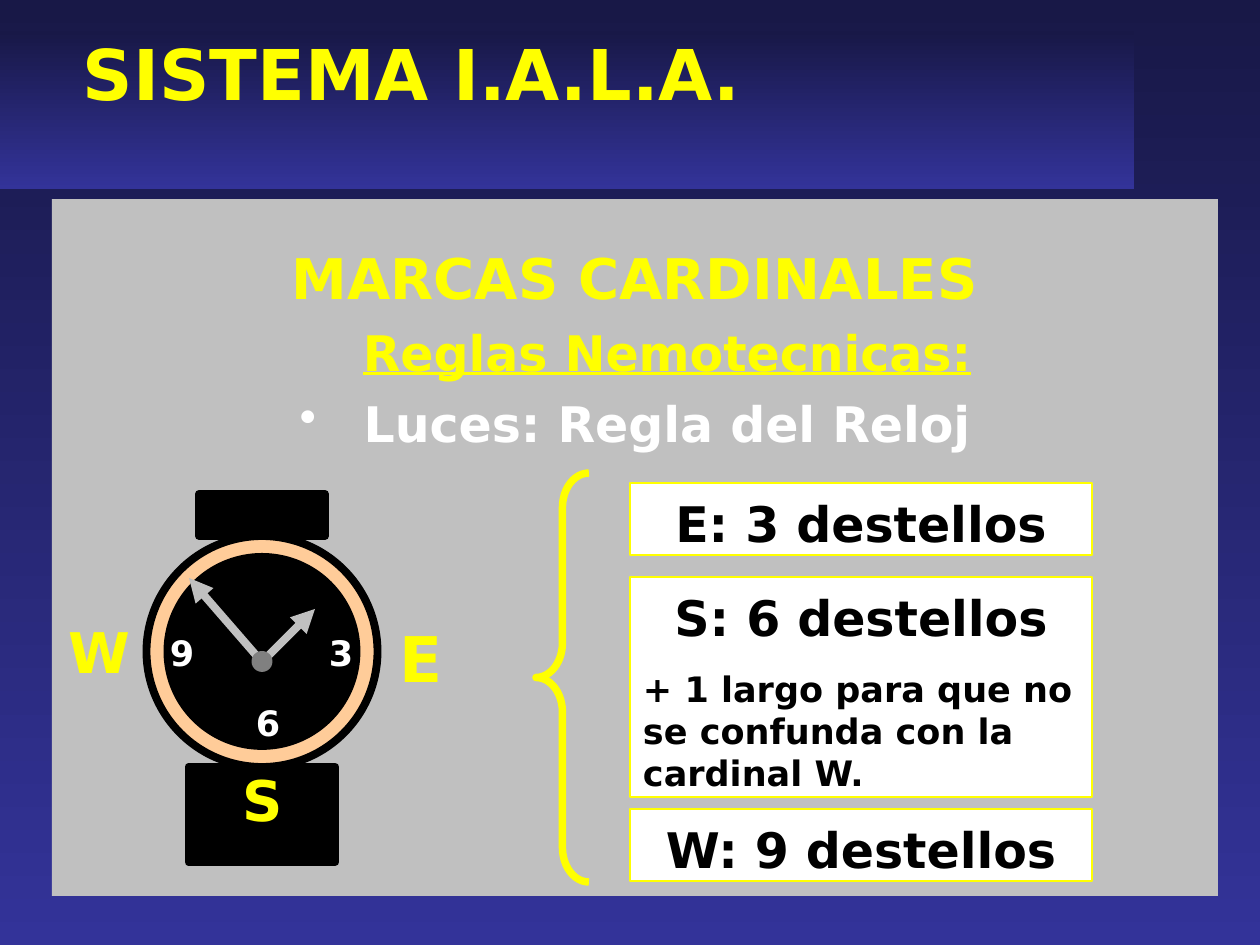
from lxml.etree import SubElement
from pptx import Presentation
from pptx.dml.color import RGBColor
from pptx.enum.shapes import MSO_CONNECTOR as Conn, MSO_SHAPE as Kind
from pptx.enum.text import MSO_ANCHOR as Anchor, MSO_AUTO_SIZE as Fit, PP_ALIGN as Align
from pptx.oxml.ns import qn
from pptx.util import Pt

SCALE = 914400 / 126
FONT = "DejaVu Sans"
YELLOW, WHITE, BLACK, SILVER = "FFFF00", "FFFFFF", "000000", "C0C0C0"
NAVY, BLUE = "181847", "333399"


def px(n):
    return round(n * SCALE)


def rgb(code):
    return RGBColor.from_string(code)


def fade(fill):
    fill.gradient()
    fill.gradient_angle = 270
    for stop, code in zip(fill.gradient_stops, (NAVY, BLUE)):
        stop.color.rgb = rgb(code)


def shape(slide, kind, box, fill=None, line=None, width=4.5):
    item = slide.shapes.add_shape(kind, *map(px, box))
    item.shadow.inherit = False
    if fill:
        item.fill.solid()
        item.fill.fore_color.rgb = rgb(fill)
    else:
        item.fill.background()
    if line:
        item.line.color.rgb = rgb(line)
        item.line.width = Pt(width)
    else:
        item.line.fill.background()
    return item


def setup(item, anchor=Anchor.TOP, inset=(13, 6, 13, 6), wrap=True):
    frame = item.text_frame
    frame.word_wrap = wrap
    frame.auto_size = Fit.NONE
    frame.vertical_anchor = anchor
    (frame.margin_left, frame.margin_top,
     frame.margin_right, frame.margin_bottom) = map(px, inset)
    return frame


def write(frame, text, size=28, color=BLACK, align=Align.CENTER, before=0,
          line=False, indent=0, bullet=None):
    para = frame.paragraphs[0] if not frame.text else frame.add_paragraph()
    para.alignment = align
    para.space_before = Pt(before)
    if indent:
        props = para._p.get_or_add_pPr()
        props.set("marL", str(px(indent)))
        if bullet:
            props.set("indent", str(-px(indent)))
            SubElement(props, qn("a:buChar")).set("char", bullet)
    run = para.add_run()
    run.text = text
    font = run.font
    font.name, font.size, font.bold = FONT, Pt(size), True
    font.underline = line
    font.color.rgb = rgb(color)


def label(slide, text, mid, size, color):
    """Put a short text around its middle point."""
    x, y = mid
    item = slide.shapes.add_textbox(px(x - 40), px(y - 40), px(80), px(80))
    frame = setup(item, Anchor.MIDDLE, (0, 0, 0, 0), wrap=False)
    write(frame, text, size, color)


def hand(slide, start, end):
    item = slide.shapes.add_connector(Conn.STRAIGHT, *map(px, start + end))
    item.line.color.rgb = rgb(SILVER)
    item.line.width = Pt(4.5)
    SubElement(item.line._get_or_add_ln(), qn("a:tailEnd")).set("type", "triangle")
    SubElement(item._element.spPr, qn("a:effectLst"))


def banner(slide, box):
    title = slide.shapes.title
    title.left, title.top, title.width, title.height = map(px, box)
    fade(title.fill)
    frame = setup(title, inset=(83, 0, 13, 6))
    write(frame, "SISTEMA I.A.L.A.", 40, YELLOW, Align.LEFT)


def panel(slide, box):
    item = shape(slide, Kind.RECTANGLE, box, SILVER)
    frame = setup(item, inset=(13, 44, 13, 6))
    write(frame, "MARCAS CARDINALES", 32, YELLOW)
    write(frame, "Reglas Nemotecnicas:", color=YELLOW, before=7, line=True, indent=64)
    write(frame, "Luces: Regla del Reloj", color=WHITE, before=7, indent=64, bullet="•")


def watch(slide, box):
    left, top, wide, high = box
    mid = left + wide // 2

    def part(kind, y, w, h, fill, line=BLACK):
        shape(slide, kind, (mid - w / 2, top + y, w, h), fill, line)

    # Case, dial and straps
    part(Kind.OVAL, 42, 231, 231, "FFCC99")
    part(Kind.OVAL, 63, 189, 189, BLACK)
    part(Kind.RECTANGLE, 0, 126, 42, BLACK)
    part(Kind.RECTANGLE, 273, 147, 95, BLACK)
    # Hours
    for text, x, y in (("9", -80, 158), ("3", 79, 158), ("6", 6, 228)):
        label(slide, text, (mid + x, top + y), 20, WHITE)
    # Hands and hub
    hub = (mid, top + 168)
    for x, y in ((53, 115), (-73, 84)):
        hand(slide, hub, (mid + x, top + y))
    part(Kind.OVAL, 157, 21, 21, "808080", None)
    # Compass points
    for text, x, y, size in (("W", -163, 157, 32), ("E", 159, 163, 36), ("S", 1, 305, 32)):
        label(slide, text, (mid + x, top + y), size, YELLOW)


def rules(slide, box):
    left, top, wide, high = box
    # Brace
    brace = shape(slide, Kind.LEFT_BRACE, (left, top, 53, high), line=YELLOW, width=4.25)
    brace.adjustments[0] = 0.65
    # Flash counts
    note = "+ 1 largo para que no se confunda con la cardinal W."
    for text, y, h, more in (
        ("E: 3 destellos", 10, 72, None),
        ("S: 6 destellos", 104, 220, note),
        ("W: 9 destellos", 336, 72, None),
    ):
        item = shape(slide, Kind.RECTANGLE, (left + 94, top + y, wide - 94, h),
                     WHITE, YELLOW, 0.75)
        frame = setup(item, inset=(13, 10, 13, 0))
        write(frame, text)
        if more:
            write(frame, more, 20, align=Align.LEFT, before=12.5)


def main():
    deck = Presentation()
    deck.slide_width, deck.slide_height = px(1260), px(945)
    slide = deck.slides.add_slide(deck.slide_layouts[5])
    fade(slide.background.fill)
    banner(slide, (0, 31, 1134, 158))
    panel(slide, (52, 199, 1166, 697))
    watch(slide, (147, 494, 231, 368))
    rules(slide, (536, 473, 556, 409))
    deck.save("out.pptx")


if __name__ == "__main__":
    main()
